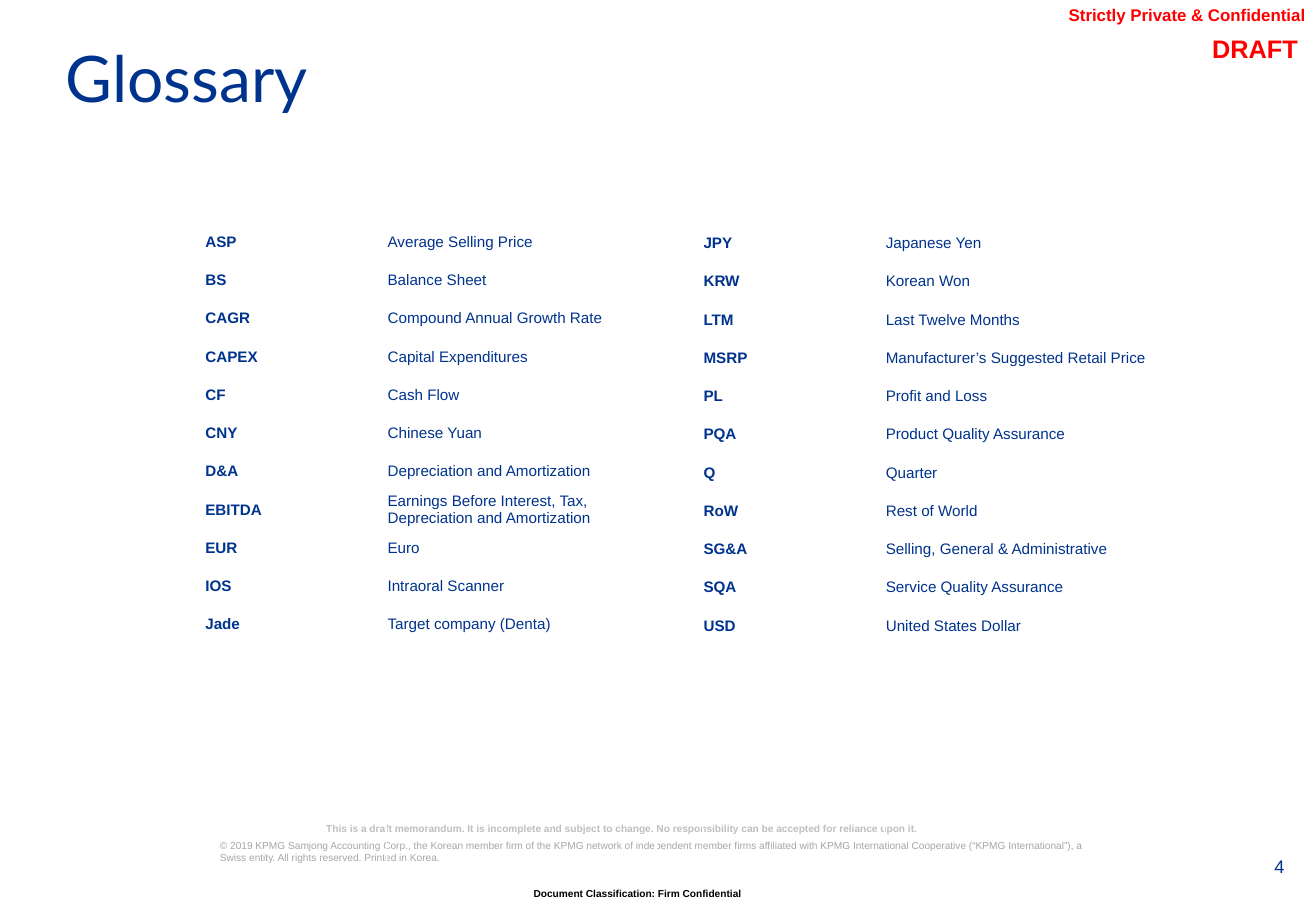
from pptx import Presentation
from pptx.dml.color import RGBColor
from pptx.enum import text
from pptx.util import Inches, Pt

# Content
TITLE = "Glossary"
GLOSSARY = [
    [("ASP", "Average Selling Price"),
     ("BS", "Balance Sheet"),
     ("CAGR", "Compound Annual Growth Rate"),
     ("CAPEX", "Capital Expenditures"),
     ("CF", "Cash Flow"),
     ("CNY", "Chinese Yuan"),
     ("D&A", "Depreciation and Amortization"),
     ("EBITDA", "Earnings Before Interest, Tax, Depreciation and Amortization"),
     ("EUR", "Euro"),
     ("IOS", "Intraoral Scanner"),
     ("Jade", "Target company (Denta)")],
    [("JPY", "Japanese Yen"),
     ("KRW", "Korean Won"),
     ("LTM", "Last Twelve Months"),
     ("MSRP", "Manufacturer’s Suggested Retail Price"),
     ("PL", "Profit and Loss"),
     ("PQA", "Product Quality Assurance"),
     ("Q", "Quarter"),
     ("RoW", "Rest of World"),
     ("SG&A", "Selling, General & Administrative"),
     ("SQA", "Service Quality Assurance"),
     ("USD", "United States Dollar")],
]
NAVY, RED = "00338D", "FF0000"
LEFT, CENTER, RIGHT = text.PP_ALIGN.LEFT, text.PP_ALIGN.CENTER, text.PP_ALIGN.RIGHT

# Wording, (left, top, width, height), insets, alignment, size, colour, bold, wrap
FLUSH = (0, 0, 0, 0)
NOTES = [
    ("4", (10.14, 7.04, 0.43, 0.16), FLUSH, RIGHT, 10.8, NAVY, False, True),
    ("Document Classification: Firm Confidential",
     (2, 7.31, 6.49, 0.13), FLUSH, CENTER, 6, "000000", True, True),
    ("© 2019 KPMG Samjong Accounting Corp., the Korean member firm of the KPMG network of "
     "independent member firms affiliated with KPMG International Cooperative "
     "(“KPMG International”), a Swiss entity. All rights reserved. Printed in Korea.",
     (1.81, 6.91, 7.2, 0.41), FLUSH, LEFT, 6, "A6A6A6", False, True),
    ("This is a draft memorandum. It is incomplete and subject to change. "
     "No responsibility can be accepted for reliance upon it.",
     (2.53, 6.72, 5.13, 0.31), (0.14, 0.05, 0.1, 0.05), CENTER, 6, "BFBFBF", True, False),
    ("Strictly Private & Confidential",
     (7.78, 0.04, 2.96, 0.17), FLUSH, RIGHT, 10, RED, True, True),
    ("DRAFT", (9.07, 0.21, 1.67, 0.34), (0.06,) * 4, RIGHT, 15, RED, True, True),
]

# Table grid
TABLE_PLACES = [(1.68, 1.83), (5.78, 1.84)]
COLUMNS = (1.5, 2.22)
ROW_COUNT, TABLE_HEIGHT = 18, 5.67
CELL_INSETS = (0.01, 0.01, 0.01, 0)


def color(value):
    return RGBColor.from_string(value)


def set_insets(target, insets):
    (target.margin_left, target.margin_top,
     target.margin_right, target.margin_bottom) = map(Inches, insets)


def write(frame, wording, size, fill, bold=False, align=LEFT, font="Arial"):
    frame.text = wording
    para = frame.paragraphs[0]
    para.alignment = align
    for span in para.runs:
        span.font.name, span.font.size, span.font.bold = font, Pt(size), bold
        span.font.color.rgb = color(fill)
    return para


deck = Presentation()
deck.slide_width, deck.slide_height = Inches(10.83), Inches(7.5)
page = deck.slides.add_slide(deck.slide_layouts[5])

# Title
title = page.shapes.title
title.left, title.top, title.width, title.height = map(Inches, (0.54, 0.49, 9.05, 0.77))
set_insets(title.text_frame, FLUSH)
title.text_frame.vertical_anchor = text.MSO_ANCHOR.TOP
title.text_frame.auto_size = text.MSO_AUTO_SIZE.NONE
write(title.text_frame, TITLE, 38, NAVY, font="Lato").line_spacing = 0.7

# Header and footer notes
for wording, place, insets, align, size, fill, bold, wrap in NOTES:
    frame = page.shapes.add_textbox(*map(Inches, place)).text_frame
    frame.word_wrap = wrap
    set_insets(frame, insets)
    write(frame, wording, size, fill, bold, align)

# Glossary tables, with spare rows below the last term
for entries, (left, top) in zip(GLOSSARY, TABLE_PLACES):
    table = page.shapes.add_table(
        ROW_COUNT, len(COLUMNS), Inches(left), Inches(top),
        Inches(sum(COLUMNS)), Inches(TABLE_HEIGHT)).table
    table.first_row = table.horz_banding = False
    for column, width in zip(table.columns, COLUMNS):
        column.width = Inches(width)
    for cell in table.iter_cells():
        cell.fill.background()
        cell.vertical_anchor = text.MSO_ANCHOR.MIDDLE
        set_insets(cell, CELL_INSETS)
    for row, entry in enumerate(entries):
        for column, wording in enumerate(entry):
            write(table.cell(row, column).text_frame, wording, 9, NAVY, bold=column == 0)

deck.save("out.pptx")
